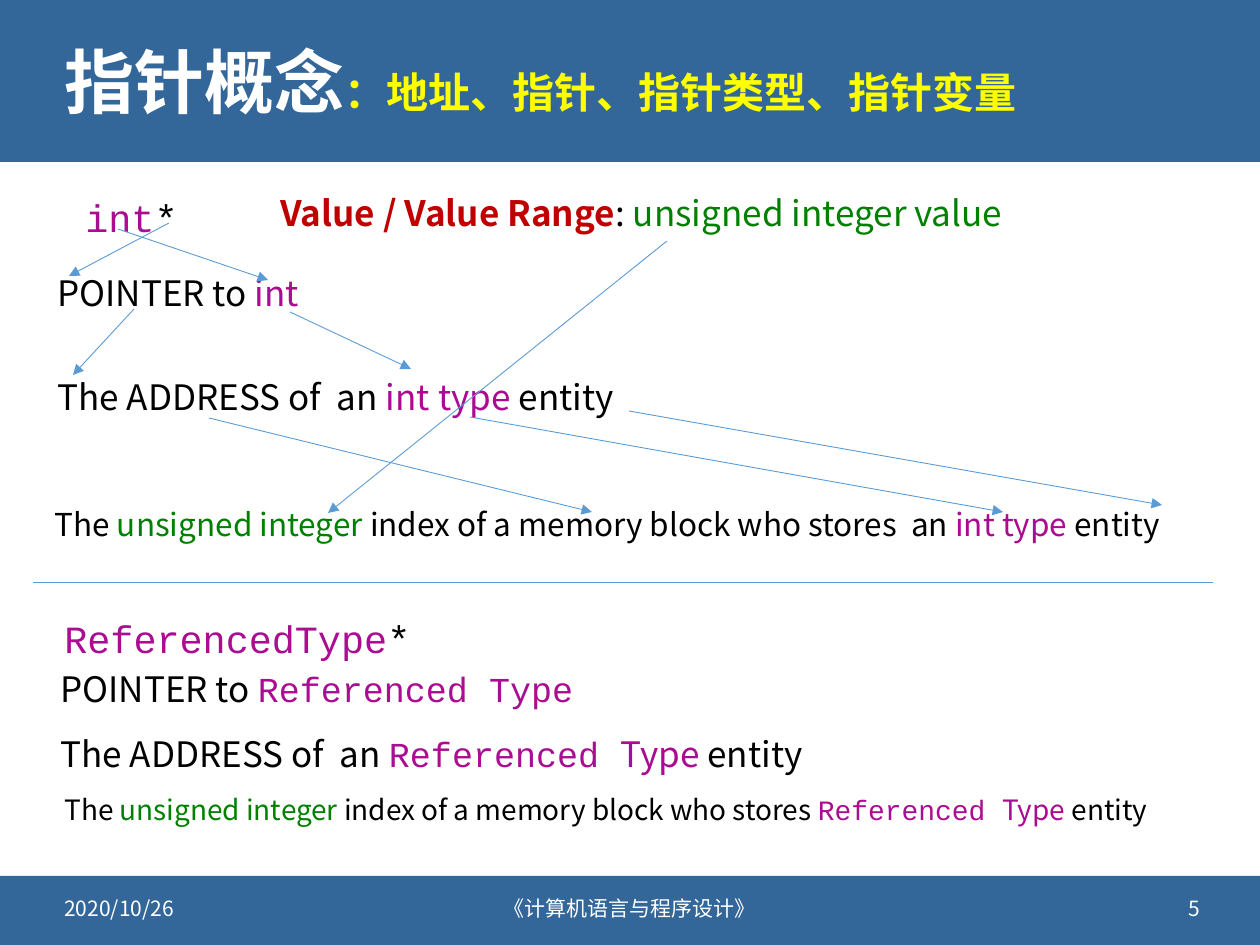
"""Build the slide on pointer concepts in C."""
from lxml.etree import SubElement
from pptx import Presentation
from pptx.dml.color import RGBColor
from pptx.enum.shapes import MSO_CONNECTOR as CONN, MSO_SHAPE as SHAPE
from pptx.enum.text import MSO_ANCHOR as ANCHOR, MSO_AUTO_SIZE as FIT, PP_ALIGN as AL
from pptx.oxml.ns import qn
from pptx.util import Emu, Pt

WHITE = RGBColor(0xFF, 0xFF, 0xFF)
BLACK = RGBColor(0, 0, 0)
BLUE = RGBColor(0x33, 0x66, 0x99)
LINE = RGBColor(0x5B, 0x9B, 0xD5)
YELLOW = RGBColor(0xFF, 0xFF, 0)
RED = RGBColor(0xC0, 0, 0)
GREEN = RGBColor(0, 0x80, 0)
PURPLE = RGBColor(0xAA, 0x0B, 0x91)
CODE = RGBColor(0xAA, 0x0D, 0x91)
SANS, MONO = "Noto Sans CJK SC", "Courier New"


def px(*values):
    return [Emu(round(v * 914400 / 126)) for v in values]


def add_run(p, text, size=20, color=BLACK, font=SANS, bold=False):
    r = p.add_run()
    r.text = text
    r.font.size, r.font.bold, r.font.name = Pt(size), bold, font
    r.font.color.rgb = color
    SubElement(r.font._element, qn("a:ea")).set("typeface", font)


prs = Presentation()
prs.slide_width, prs.slide_height = px(1260, 945)
s = prs.slides.add_slide(prs.slide_layouts[5])

for top, height in [(0, 162), (876, 69)]:
    sp = s.shapes.add_shape(SHAPE.RECTANGLE, *px(0, top, 1260, height))
    sp.shadow.inherit = False
    sp.fill.solid()
    sp.fill.fore_color.rgb = BLUE
    sp.line.fill.background()

title = s.shapes.title
title.element.getparent().append(title.element)
title.left, title.top, title.width, title.height = px(52, 23, 1158, 125)
tf = title.text_frame
tf.auto_size, tf.vertical_anchor = FIT.NONE, ANCHOR.MIDDLE
p = tf.paragraphs[0]
p.alignment, p.line_spacing = AL.LEFT, 0.9
add_run(p, "指针概念", size=40, color=WHITE, bold=True)
add_run(p, "：地址、指针、指针类型、指针变量", size=24, color=YELLOW, bold=True)

footers = [
    (52, 302, AL.LEFT, "2020/10/26"),
    (403, 454, AL.CENTER, "《计算机语言与程序设计》"),
    (911, 302, AL.RIGHT, "5"),
]
for left, width, align, text in footers:
    tf = s.shapes.add_textbox(*px(left, 883, width, 50)).text_frame
    tf.word_wrap, tf.vertical_anchor = True, ANCHOR.MIDDLE
    p = tf.paragraphs[0]
    p.alignment = align
    add_run(p, text, size=12, color=WHITE)

declarations = [((73, 183, 136, 60), "int"), ((52, 604, 495, 60), "ReferencedType")]
for box, name in declarations:
    tf = s.shapes.add_textbox(*px(*box)).text_frame
    tf.word_wrap, tf.auto_size = True, FIT.SHAPE_TO_FIT_TEXT
    p = tf.paragraphs[0]
    p.line_spacing = 1.1
    add_run(p, name, size=22, color=CODE, font=MONO)
    add_run(p, "*", size=22, font=MONO)

entity = ("entity", {})
int_type = ("int type ", {"color": PURPLE})
type_word = ("Type ", {"color": PURPLE})
referenced = ("Referenced ", {"color": CODE, "font": MONO})
unsigned = ("unsigned integer ", {"color": GREEN})
statements = [
    ((268, 185, 795, 55), 20, [("Value / Value Range", {"color": RED, "bold": True}), (": ", {}),
                               ("unsigned integer value", {"color": GREEN})]),
    ((45, 265, 278, 55), 20, [("POINTER to ", {}), ("int", {"color": PURPLE})]),
    ((45, 369, 614, 55), 20, [("The ADDRESS of  an ", {}), int_type, entity]),
    ((42, 499, 1218, 50), 18, [("The ", {}), unsigned,
                               ("index of a memory block who stores  an ", {}), int_type, entity]),
    ((48, 661, 552, 55), 20, [("POINTER to ", {}),
                              ("Referenced Type", {"color": CODE, "font": MONO})]),
    ((48, 726, 781, 55), 20, [("The ADDRESS of  an ", {}), referenced, type_word, entity]),
    ((52, 786, 1150, 47), 16, [("The ", {}), unsigned, ("index of a memory block who stores ", {}),
                               referenced, type_word, entity]),
]
for box, size, runs in statements:
    tf = s.shapes.add_textbox(*px(*box)).text_frame
    tf.word_wrap, tf.auto_size = False, FIT.SHAPE_TO_FIT_TEXT
    for text, style in runs:
        add_run(tf.paragraphs[0], text, size=size, **style)

lines = [
    (667, 241, 328, 513, True),
    (169, 223, 69, 276, True),
    (118, 229, 268, 280, True),
    (290, 312, 411, 369, True),
    (134, 309, 73, 375, True),
    (470, 417, 1003, 512, True),
    (629, 411, 1162, 505, True),
    (209, 418, 592, 512, True),
    (33, 582, 1213, 582, False),
]
for *ends, arrow in lines:
    c = s.shapes.add_connector(CONN.STRAIGHT, *px(*ends))
    c.line.color.rgb, c.line.width = LINE, Pt(0.5)
    if arrow:
        SubElement(c.line.color._xFill.getparent(), qn("a:tailEnd")).set("type", "triangle")
    SubElement(c.element.spPr, qn("a:effectLst"))

prs.save("out.pptx")
